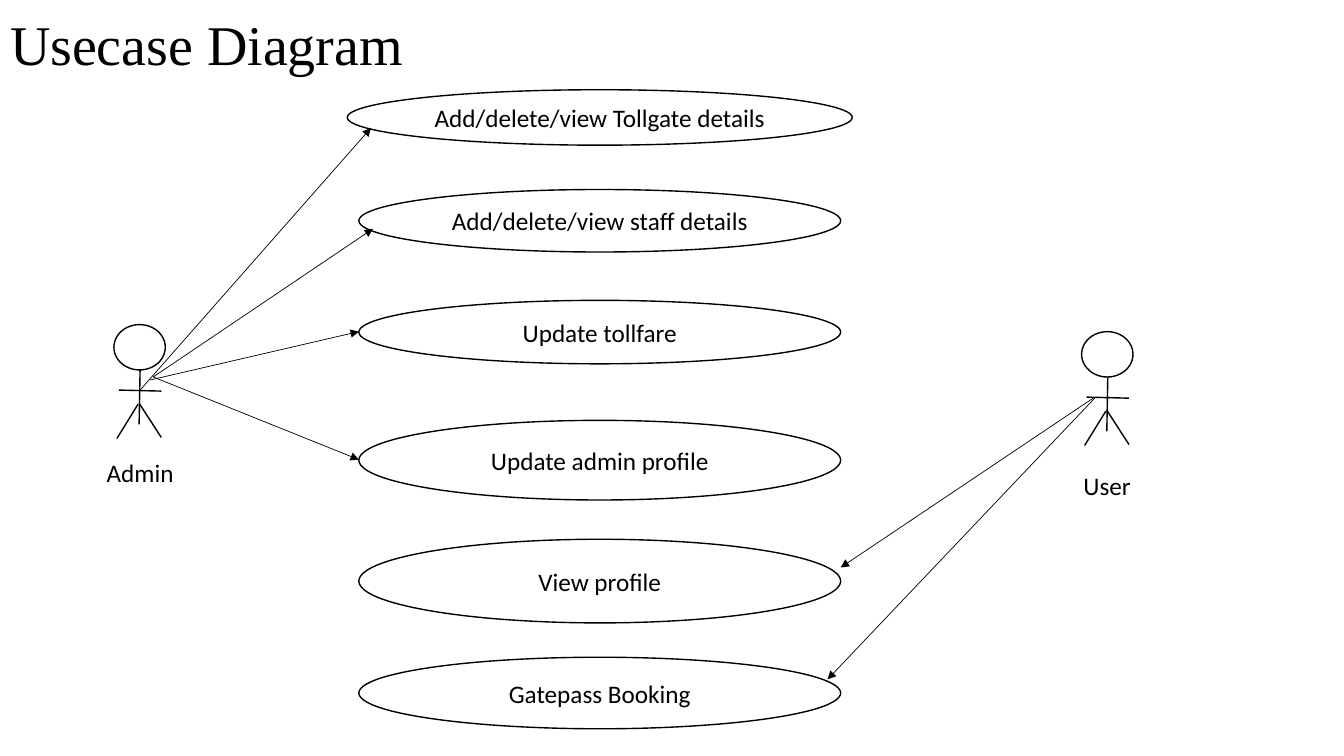
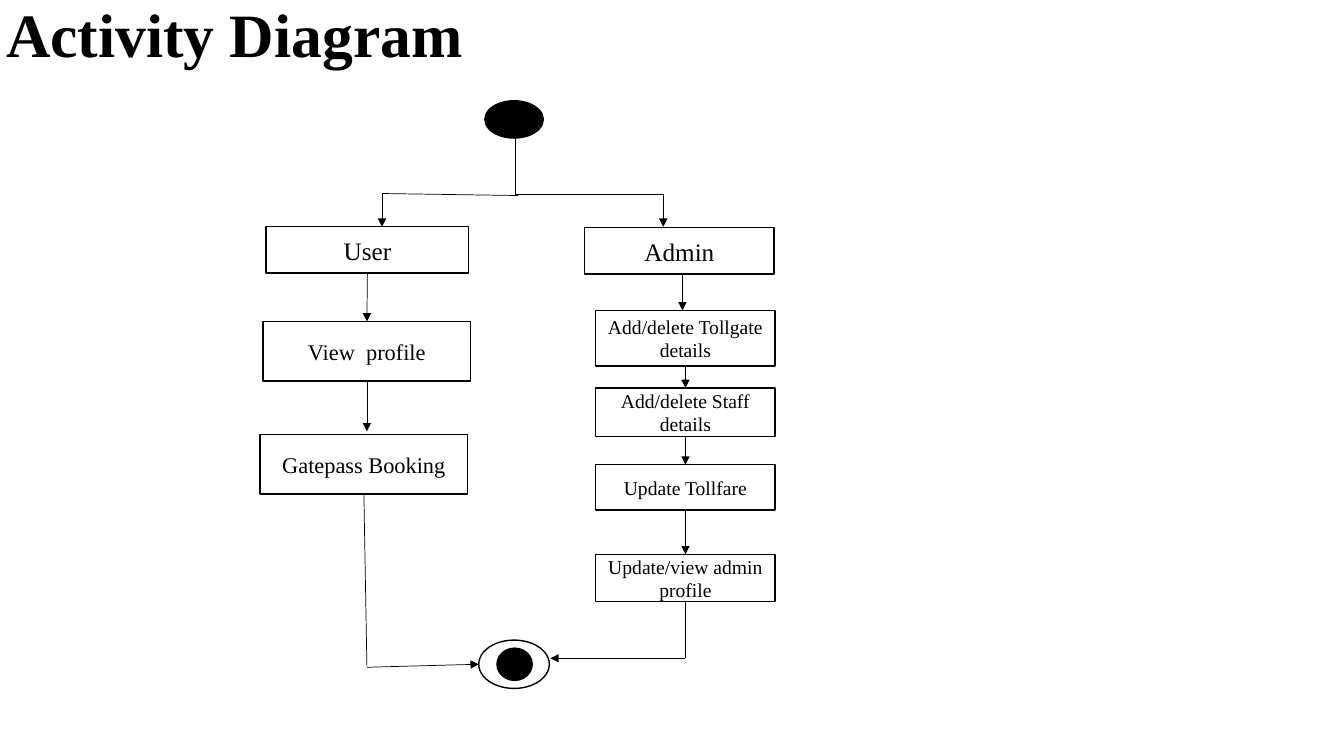
import pptx
import pptx.util
import pptx.dml.color
import pptx.enum.shapes
import pptx.enum.text
import pptx.oxml.ns
import lxml.etree

HUES = {"ink": "000000", "paper": "FFFFFF"}
FONTS = {"serif": "Times New Roman", "sans": "Calibri"}
CELL = pptx.util.Inches(0.1)
COLS, ROWS = 133.33, 75
FORMS = pptx.enum.shapes.MSO_SHAPE
ALIGN = pptx.enum.text.PP_ALIGN
MIDDLE = pptx.enum.text.MSO_ANCHOR.MIDDLE
FIT = pptx.enum.text.MSO_AUTO_SIZE


def grid(*cells):
    return [round(cell * CELL) for cell in cells]


def hue(name):
    return pptx.dml.color.RGBColor.from_string(HUES[name])


def write(frame, text, size=18, font="sans", bold=False,
          align=ALIGN.CENTER, space=None):
    frame.word_wrap = True
    para = frame.paragraphs[0]
    para.alignment = align
    para.line_spacing = space
    run = para.add_run()
    run.text = text
    run.font.size = pptx.util.Pt(size)
    run.font.name = FONTS[font]
    run.font.bold = bold
    run.font.color.rgb = hue("ink")


def shape(slide, form, box, fill="paper", text=None, **style):
    item = slide.shapes.add_shape(form, *grid(*box))
    item.shadow.inherit = False
    item.fill.solid()
    item.fill.fore_color.rgb = hue(fill)
    item.line.color.rgb = hue("ink")
    item.line.width = pptx.util.Pt(1)
    if text:
        item.text_frame.vertical_anchor = MIDDLE
        write(item.text_frame, text, **style)
    return item


def link(slide, start, end, width=0.5, arrow=True):
    first = start if isinstance(start, tuple) else (0, 0)
    last = end if isinstance(end, tuple) else (0, 0)
    line = slide.shapes.add_connector(
        pptx.enum.shapes.MSO_CONNECTOR.STRAIGHT, *grid(*first, *last))
    if start is not first:
        line.begin_connect(start, 2)
    if end is not last:
        line.end_connect(end, 0)
    line.line.color.rgb = hue("ink")
    line.line.width = pptx.util.Pt(width)
    qn = pptx.oxml.ns.qn
    if arrow:
        stroke = line.line._get_or_add_ln()
        lxml.etree.SubElement(stroke, qn("a:tailEnd"), type="triangle")
    lxml.etree.SubElement(line._element.spPr, qn("a:effectLst"))


def page(deck, text, box, **style):
    slide = deck.slides.add_slide(deck.slide_layouts[5])
    title = slide.shapes.title
    title.left, title.top, title.width, title.height = grid(*box)
    title.text_frame.auto_size = FIT.NONE
    title.text_frame.vertical_anchor = MIDDLE
    write(title.text_frame, text, font="serif", align=ALIGN.LEFT,
          space=0.9, **style)
    return slide


def actor(slide, left, top, name, label):
    shape(slide, FORMS.OVAL, (left, top, 5.1, 4.5))
    limbs = [(2.6, 4.5, 2.5, 9.9), (0.5, 6.5, 4.7, 6.6),
             (2.4, 7.9, 0.3, 11.3), (2.5, 7.8, 4.7, 11.2)]
    for x, y, right, low in limbs:
        link(slide, (left + x, top + y), (left + right, top + low),
             width=1, arrow=False)
    x, y, width = label
    text = slide.shapes.add_textbox(*grid(left + x, top + y, width, 4))
    text.text_frame.auto_size = FIT.SHAPE_TO_FIT_TEXT
    write(text.text_frame, name, align=ALIGN.LEFT)


def cases(slide, mid, rows):
    for text, top, width, height in rows:
        shape(slide, FORMS.OVAL, (mid - width / 2, top, width, height),
              text=text)


def track(slide, left, top, steps):
    return [shape(slide, FORMS.RECTANGLE, (left + x, top + y, width, height),
                  text=text, size=size, font="serif")
            for text, x, y, width, height, size in steps]


def chain(slide, boxes):
    for upper, lower in zip(boxes, boxes[1:]):
        link(slide, upper, lower)


def fork(slide, left, top):
    shape(slide, FORMS.OVAL, (left + 10.2, top, 5.8, 3.7), fill="ink")
    bars = [(13.2, 3.7, 13.2, 9.3), (0, 9.2, 13.5, 9.4),
            (13.2, 9.3, 27.9, 9.3)]
    for x, y, right, low in bars:
        link(slide, (left + x, top + y), (left + right, top + low),
             arrow=False)
    for x in (0, 27.9):
        link(slide, (left + x, top + 9.2), (left + x, top + 12.5))


def finish(slide, left, top, user, admin):
    shape(slide, FORMS.OVAL, (left, top, 7, 4.8))
    shape(slide, FORMS.OVAL, (left + 1.8, top + 0.8, 3.5, 3.2), fill="ink")
    link(slide, user, (left - 11.1, top + 2.6), arrow=False)
    link(slide, (left - 11.1, top + 2.7), (left, top + 2.4))
    link(slide, admin, (left + 20.5, top + 1.8), arrow=False)
    link(slide, (left + 20.5, top + 1.8), (left + 7.1, top + 1.8))


def usecase(deck):
    slide = page(deck, "Usecase Diagram", (0, 0.1, 115.1, 9.3), size=40)
    actor(slide, 11.3, 32.2, "Admin", (-1.7, 12.7, 13.8))
    actor(slide, 107.3, 32.9, "User", (-0.8, 13.3, 10.9))
    cases(slide, 59.5, [
        ("Add/delete/view Tollgate details", 8.9, 50.1, 5.5),
        ("Add/delete/view staff details", 18.8, 47.8, 6.2),
        ("Update tollfare", 29.8, 47.8, 6.3),
        ("Update admin profile", 41.7, 47.8, 7.9),
        ("View profile", 53.5, 47.8, 8.3),
        ("Gatepass Booking", 65.2, 47.8, 7.1)])
    for start, end in [((13.9, 38.7), (36.8, 12.7)),
                       ((15.2, 37.4), (37, 22.7)),
                       ((14.9, 37.7), (35.6, 32.9)),
                       ((15.2, 37.4), (35.6, 45.6)),
                       ((108.6, 39.4), (83.4, 56.3)),
                       ((108.6, 39.5), (82.1, 67.4))]:
        link(slide, start, end)


def activity(deck):
    slide = page(deck, "Activity Diagram", (-0.4, -3.5, 115, 14.5),
                 size=44, bold=True)
    fork(slide, 37.9, 10)
    user = track(slide, 25.8, 22.5, [
        ("User", 0.6, 0, 20.1, 4.6, 18),
        ("View  profile", 0.3, 9.4, 20.6, 5.9, 16),
        ("Gatepass Booking", 0, 20.6, 20.6, 5.9, 16)])
    admin = track(slide, 58, 22.6, [
        ("Admin", 0, 0, 18.8, 4.6, 18),
        ("Add/delete Tollgate details", 1.1, 8.2, 17.8, 5.5, 14),
        ("Add/delete Staff details", 1.1, 15.9, 17.8, 4.8, 14),
        ("Update Tollfare", 1.1, 23.5, 17.8, 4.5, 14),
        ("Update/view admin profile", 1.1, 32.4, 17.8, 4.7, 14)])
    chain(slide, user[:2])
    chain(slide, admin[1:])
    link(slide, user[1], (36.4, 42.8))
    link(slide, (67.7, 27.1), (67.7, 30.8))
    finish(slide, 47.5, 63.5, user[-1], admin[-1])


def main():
    deck = pptx.Presentation()
    deck.slide_width, deck.slide_height = grid(COLS, ROWS)
    usecase(deck)
    activity(deck)
    deck.save("out.pptx")


if __name__ == "__main__":
    main()
